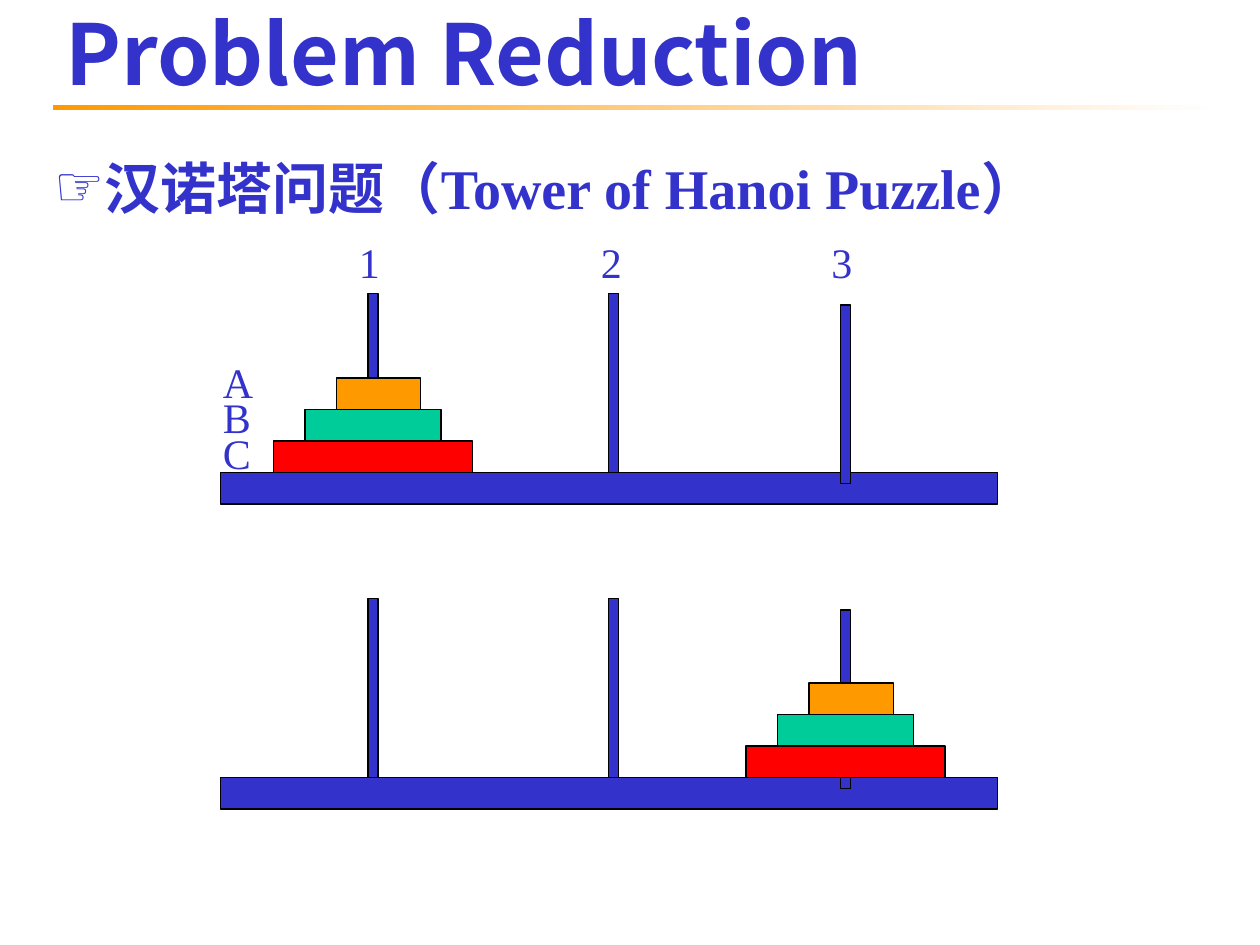
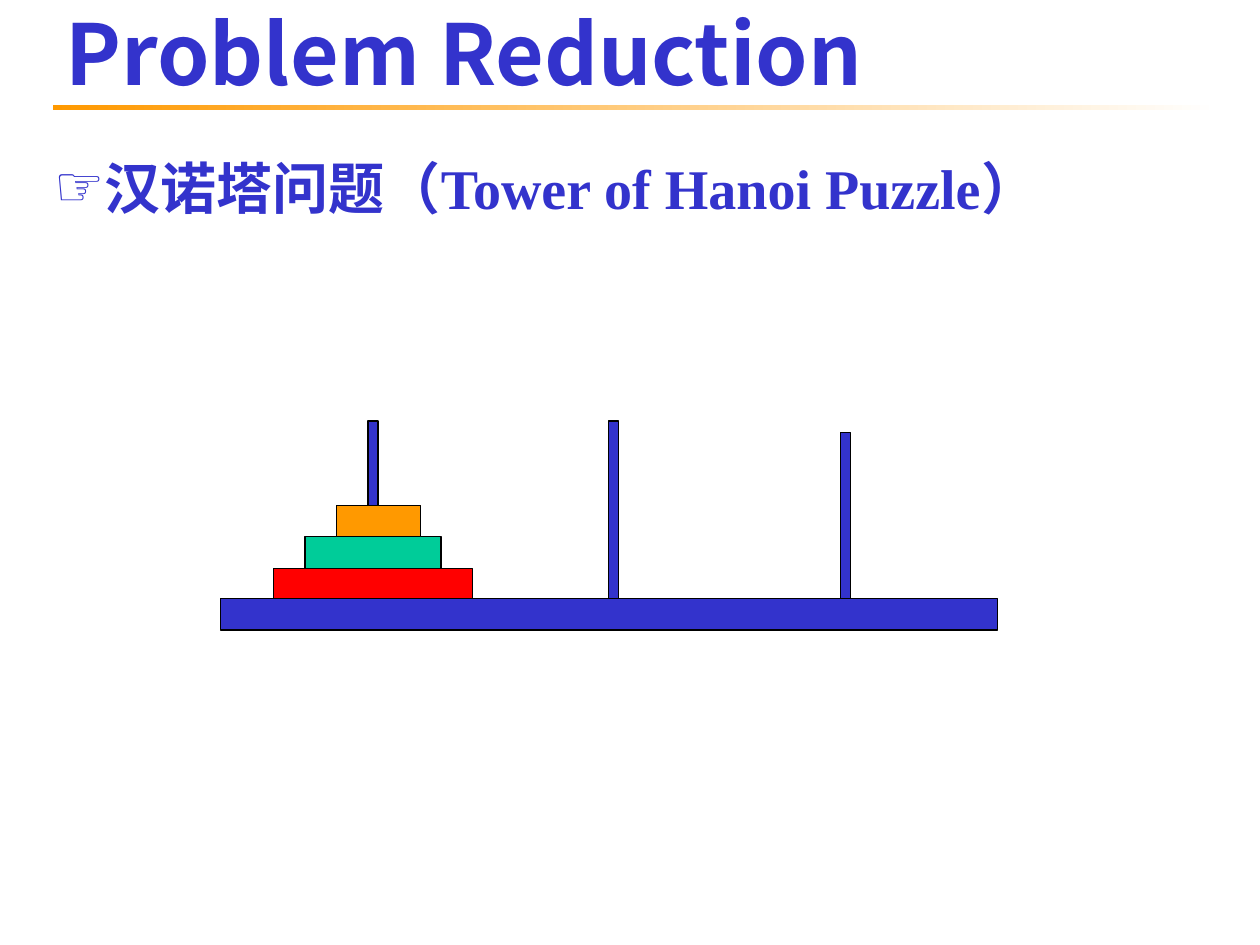
from pptx import Presentation
from pptx.dml.color import RGBColor
from pptx.enum.shapes import MSO_SHAPE
from pptx.enum.text import MSO_ANCHOR, MSO_AUTO_SIZE, PP_ALIGN
from pptx.oxml.ns import qn
from pptx.util import Inches, Pt
from lxml import etree

HUES = {"blue": "3333CC", "red": "FF0000", "green": "00CC99",
        "gold": "FF9900", "black": "000000", "white": "FFFFFF"}
FORMS = {
    "title": {"name": "Noto Sans CJK SC", "size": Pt(48), "bold": True},
    "body": {"name": "Times New Roman", "size": Pt(32), "bold": True},
    "label": {"name": "Times New Roman", "size": Pt(24), "bold": False},
}
PEGS = [(2.92, 0), (4.83, 0), (6.67, 0.09)]  # left, drop
DISCS = [("red", 0, 1.58), ("green", 0.25, 1.08), ("gold", 0.5, 0.67)]
TALL, STEP = 1.42, 0.25


def bar(slide, hue, *spot):
    rect = slide.shapes.add_shape(MSO_SHAPE.RECTANGLE, *map(Inches, spot))
    rect.shadow.inherit = False
    rect.fill.solid()
    rect.fill.fore_color.rgb = RGBColor.from_string(HUES[hue])
    rect.line.color.rgb = RGBColor.from_string(HUES["black"])
    rect.line.width = Pt(0.75)
    return rect


def write(shape, lines, form, spot, fit=MSO_AUTO_SIZE.NONE):
    shape.left, shape.top, shape.width, shape.height = map(Inches, spot)
    frame = shape.text_frame
    frame.text = "\n".join(lines)
    frame.word_wrap = True
    frame.auto_size = fit
    for para in frame.paragraphs:
        para.alignment = PP_ALIGN.LEFT
        para.space_before = Pt(0)
        for run in para.runs:
            for key, value in FORMS[form].items():
                setattr(run.font, key, value)
            run.font.color.rgb = RGBColor.from_string(HUES["blue"])
    # Chinese typeface
    for props in shape.element.iter(qn("a:rPr")):
        etree.SubElement(props, qn("a:ea")).set("typeface", "Noto Sans CJK SC")
    return frame


deck = Presentation()
deck.slide_width, deck.slide_height = Inches(10), Inches(7.5)
plan = deck.slide_layouts[1]
slides = [deck.slides.add_slide(plan) for _ in range(2)]

# Fading rule under the title, shared through the master
band = bar(slides[0], "gold", 0.42, 0.83, 9.25, 0.04)
band.line.fill.background()
band.fill.gradient()
band.fill.gradient_angle = 0
for stop, hue in zip(band.fill.gradient_stops, ("gold", "white")):
    stop.color.rgb = RGBColor.from_string(HUES[hue])
deck.slide_master.shapes.element.insert(2, band.element)

# Title and topic on both slides
for slide in slides:
    frame = write(slide.shapes.title, ["Problem Reduction"], "title",
                  (0.42, 0, 9.58, 0.83))
    frame.vertical_anchor = MSO_ANCHOR.MIDDLE
    frame = write(slide.placeholders[1], ["汉诺塔问题（Tower of Hanoi Puzzle）"],
                  "body", (0.33, 1.17, 9.33, 6.08))
    frame.vertical_anchor = MSO_ANCHOR.TOP
    props = frame.paragraphs[0].alignment and next(
        slide.placeholders[1].element.iter(qn("a:pPr")))
    props.set("marL", str(Inches(0.38)))
    props.set("indent", str(Inches(-0.38)))
    etree.SubElement(props, qn("a:buChar")).set("char", "☞")

# Towers: slide, peg top, base top, left of discs, base in front
TOWERS = [(slides[0], 2.33, 3.75, 2.17, False),
          (slides[0], 4.75, 6.17, 5.92, False),
          (slides[1], 3.34, 4.75, 2.17, True)]
for slide, top, foot, left, front in TOWERS:
    base = bar(slide, "blue", 1.75, foot, 6.17, STEP)
    for x, drop in PEGS:
        bar(slide, "blue", x, top + drop, 0.08, TALL)
    for rank, (hue, inset, wide) in enumerate(DISCS, 1):
        bar(slide, hue, left + inset, top + TALL - rank * STEP, wide, STEP)
    if front:
        slide.shapes.element.append(base.element)

# Peg numbers and disc letters
LABELS = [(["1"], (2.75, 1.83, 0.5, 0.5)), (["2"], (4.67, 1.83, 0.5, 0.5)),
          (["3"], (6.5, 1.83, 0.5, 0.5)),
          (["A", "B", "C"], (1.67, 2.89, 0.5, 0.94))]
for lines, spot in LABELS:
    text = slides[0].shapes.add_textbox(*map(Inches, spot))
    frame = write(text, lines, "label", spot, MSO_AUTO_SIZE.SHAPE_TO_FIT_TEXT)
    if len(lines) > 1:
        for para in frame.paragraphs:
            para.line_spacing = 0.7

deck.save("out.pptx")
